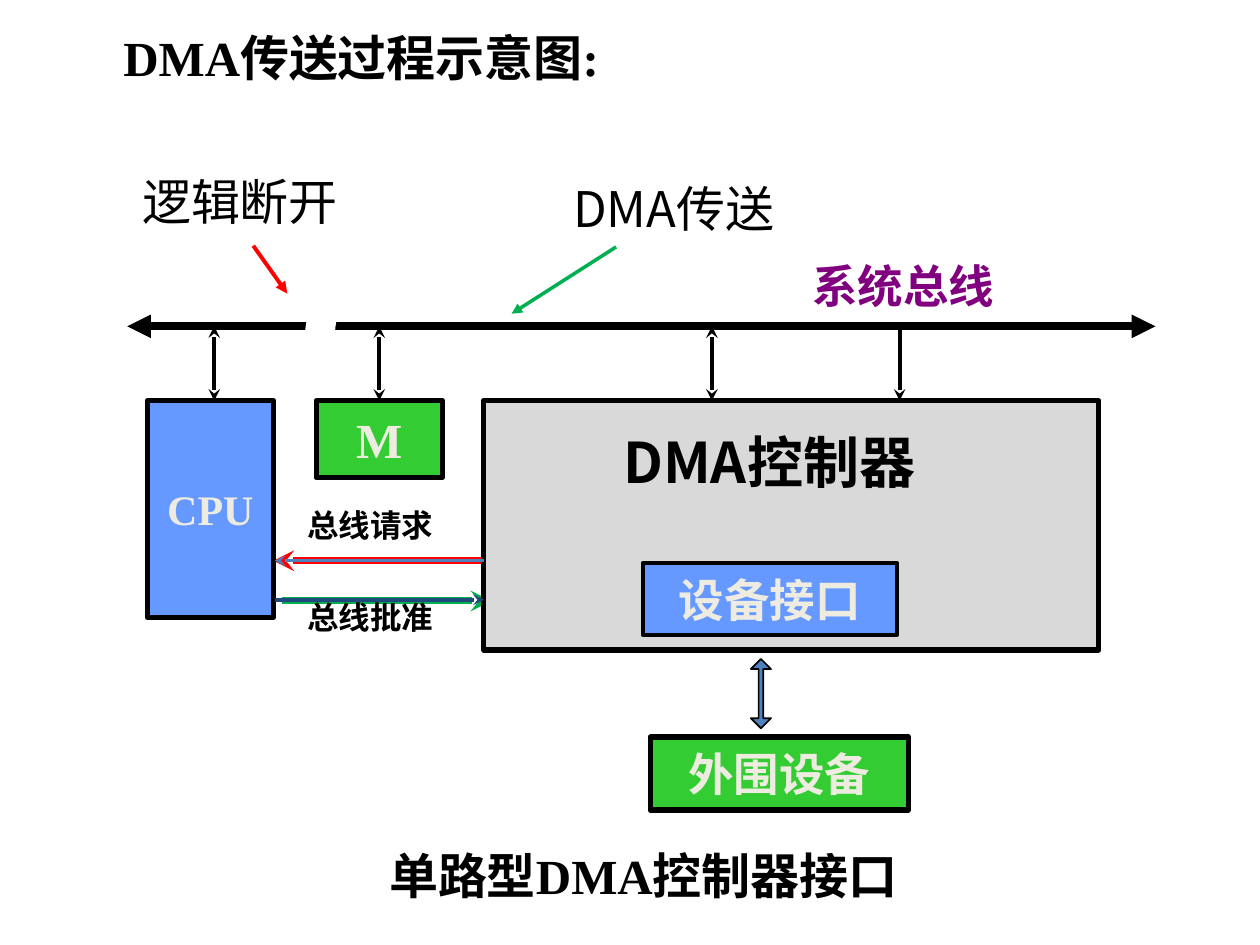
"""Build a slide that shows how a DMA transfer runs over the system bus."""
from dataclasses import dataclass

from lxml import etree
from pptx import Presentation, util as u
from pptx.dml.color import RGBColor
from pptx.enum import shapes, text
from pptx.oxml.ns import qn

CELL = u.Inches(0.1)
COLUMNS, ROWS = 100, 75
SANS, SERIF = "Noto Sans CJK SC", "Times New Roman"
COLORS = {
    "black": "000000", "white": "FFFFFF", "cream": "EEECE1", "grey": "D9D9D9",
    "red": "FF0000", "green": "00B050", "lime": "33CC33", "purple": "800080",
    "sky": "6699FF", "steel": "4F81BD", "navy": "1F497D",
}


@dataclass
class Block:
    name: str
    area: tuple
    fill: str
    border: float = 3
    size: float = 26
    font: str = SANS
    label: str = ""


@dataclass
class Label:
    words: str
    area: tuple
    size: float = 28
    font: str = SANS
    color: str = "black"
    bold: bool = True
    centered: bool = False


@dataclass
class Arrow:
    start: tuple
    end: tuple
    color: str = "black"
    width: float = 2.25
    head: str = ""
    tail: str = "stealth"
    target: str = ""


BUS_ROW, BLOCK_ROW = 25.9, 31.8
REQUEST_ROW, GRANT_ROW = 44.5, 47.7
CPU_EDGE, CONTROLLER_EDGE = 21.8, 38.4

CALLOUTS = [
    Arrow((20.1, 19.5), (22.8, 23.3), "red", tail="triangle"),
    Arrow((48.9, 19.6), (40.6, 24.9), "green", 2, tail="triangle"),
]
HANDSHAKE_GLOW = [
    Arrow((38.2, REQUEST_ROW), (21.7, REQUEST_ROW), "red", 4),
    Arrow((22.4, GRANT_ROW), (39, GRANT_ROW), "green", 4),
]
BUS = Arrow((10.1, BUS_ROW), (91.7, BUS_ROW), width=4.5, head="triangle", tail="triangle")
BLOCKS = [
    Block("cpu", (11.7, BLOCK_ROW, 10, 17.2), "sky", size=24, font=SERIF, label="CPU"),
    Block("memory", (25.1, BLOCK_ROW, 10, 6.1), "lime", size=28, font=SERIF, label="M"),
    Block("controller", (CONTROLLER_EDGE, BLOCK_ROW, 48.8, 19.8), "grey"),
    Block("peripheral", (51.6, 58.5, 20.5, 5.8), "lime", label="外围设备"),
    Block("interface", (51, 44.7, 20.2, 5.7), "sky", 2.25, label="设备接口"),
]
LINKS = [
    Arrow((17, BUS_ROW), (17, BLOCK_ROW), head="stealth"),
    Arrow((30.1, BUS_ROW), (30.1, BLOCK_ROW), head="stealth", target="memory"),
    Arrow((56.5, BUS_ROW), (56.5, BLOCK_ROW), head="stealth"),
    Arrow((71.4, BUS_ROW), (71.4, BLOCK_ROW)),
    Arrow((CONTROLLER_EDGE, REQUEST_ROW), (CPU_EDGE, REQUEST_ROW), "steel", 2),
    Arrow((CPU_EDGE, 47.6), (CONTROLLER_EDGE, 47.6), "navy", 2),
]
LABELS = [
    Label("DMA传送过程示意图:", (8.8, 1.7, 59.1, 5.7), font=SERIF),
    Label("逻辑断开", (10.3, 13.1, 30.7, 5.7), bold=False),
    Label("DMA传送", (44.5, 13.7, 25.9, 5.7), bold=False),
    Label("系统总线", (59.6, 20, 24.2, 5.3), 26, color="purple", centered=True),
    Label("DMA控制器", (46.2, 33.4, 29.7, 6.3), 32, centered=True),
    Label("总线请求", (23.4, 39.7, 15.7, 4), 18),
    Label("总线批准", (23.4, 47, 17.3, 4), 18),
    Label("单路型DMA控制器接口", (29.9, 66.6, 44.5, 5.7), font=SERIF),
]


def rgb(name: str) -> RGBColor:
    return RGBColor.from_string(COLORS[name])


def grid(cells: tuple) -> list:
    return [round(cell * CELL) for cell in cells]


def write(box, words: str, *, size: float, font: str, color: str, bold: bool = True,
          centered: bool = False, anchor=text.MSO_ANCHOR.TOP) -> None:
    frame = box.text_frame
    frame.word_wrap = True
    frame.vertical_anchor = anchor
    para = frame.paragraphs[0]
    para.alignment = text.PP_ALIGN.CENTER if centered else text.PP_ALIGN.LEFT
    span = para.add_run()
    span.text = words
    span.font.size, span.font.bold, span.font.name = u.Pt(size), bold, font
    span.font.color.rgb = rgb(color)
    etree.SubElement(span.font._element, qn("a:ea"), typeface=SANS)


def draw_shape(page, kind, area: tuple, fill: str, border: float = 0):
    shape = page.shapes.add_shape(kind, *grid(area))
    shape.shadow.inherit = False
    shape.fill.solid()
    shape.fill.fore_color.rgb = rgb(fill)
    if border:
        shape.line.color.rgb = rgb("black")
        shape.line.width = u.Pt(border)
    else:
        shape.line.fill.background()
    return shape


def draw_block(page, block: Block):
    shape = draw_shape(page, shapes.MSO_SHAPE.RECTANGLE, block.area, block.fill, block.border)
    if block.label:
        write(shape, block.label, size=block.size, font=block.font, color="cream",
              centered=True, anchor=text.MSO_ANCHOR.MIDDLE)
    return shape


def draw_label(page, label: Label) -> None:
    write(page.shapes.add_textbox(*grid(label.area)), label.words, size=label.size,
          font=label.font, color=label.color, bold=label.bold, centered=label.centered)


def draw_arrow(page, arrow: Arrow, blocks: dict) -> None:
    line = page.shapes.add_connector(shapes.MSO_CONNECTOR.STRAIGHT, *grid(arrow.start + arrow.end))
    line.line.color.rgb = rgb(arrow.color)
    line.line.width = u.Pt(arrow.width)
    outline = line.line._get_or_add_ln()
    for tag, kind in (("a:headEnd", arrow.head), ("a:tailEnd", arrow.tail)):
        if kind:
            etree.SubElement(outline, qn(tag), type=kind)
    etree.SubElement(line._element.spPr, qn("a:effectLst"))
    if arrow.target:
        line.end_connect(blocks[arrow.target], 0)


def main() -> None:
    deck = Presentation()
    deck.slide_width, deck.slide_height = grid((COLUMNS, ROWS))
    page = deck.slides.add_slide(deck.slide_layouts[6])
    for arrow in [*CALLOUTS, *HANDSHAKE_GLOW, BUS]:
        draw_arrow(page, arrow, {})
    blocks = {block.name: draw_block(page, block) for block in BLOCKS}
    device_arrow = draw_shape(page, shapes.MSO_SHAPE.UP_DOWN_ARROW, (59.6, 52.3, 1.6, 5.5), "steel", 1)
    device_arrow.adjustments[0], device_arrow.adjustments[1] = 0.5, 0.23
    for arrow in LINKS:
        draw_arrow(page, arrow, blocks)
    for label in LABELS:
        draw_label(page, label)
    bus_break = draw_shape(page, shapes.MSO_SHAPE.WAVE, (21.9, 22.7, 7.8, 3.2), "white")
    bus_break.adjustments[0], bus_break.adjustments[1] = 0.13, 0
    bus_break.rotation = 270
    deck.save("out.pptx")


if __name__ == "__main__":
    main()
